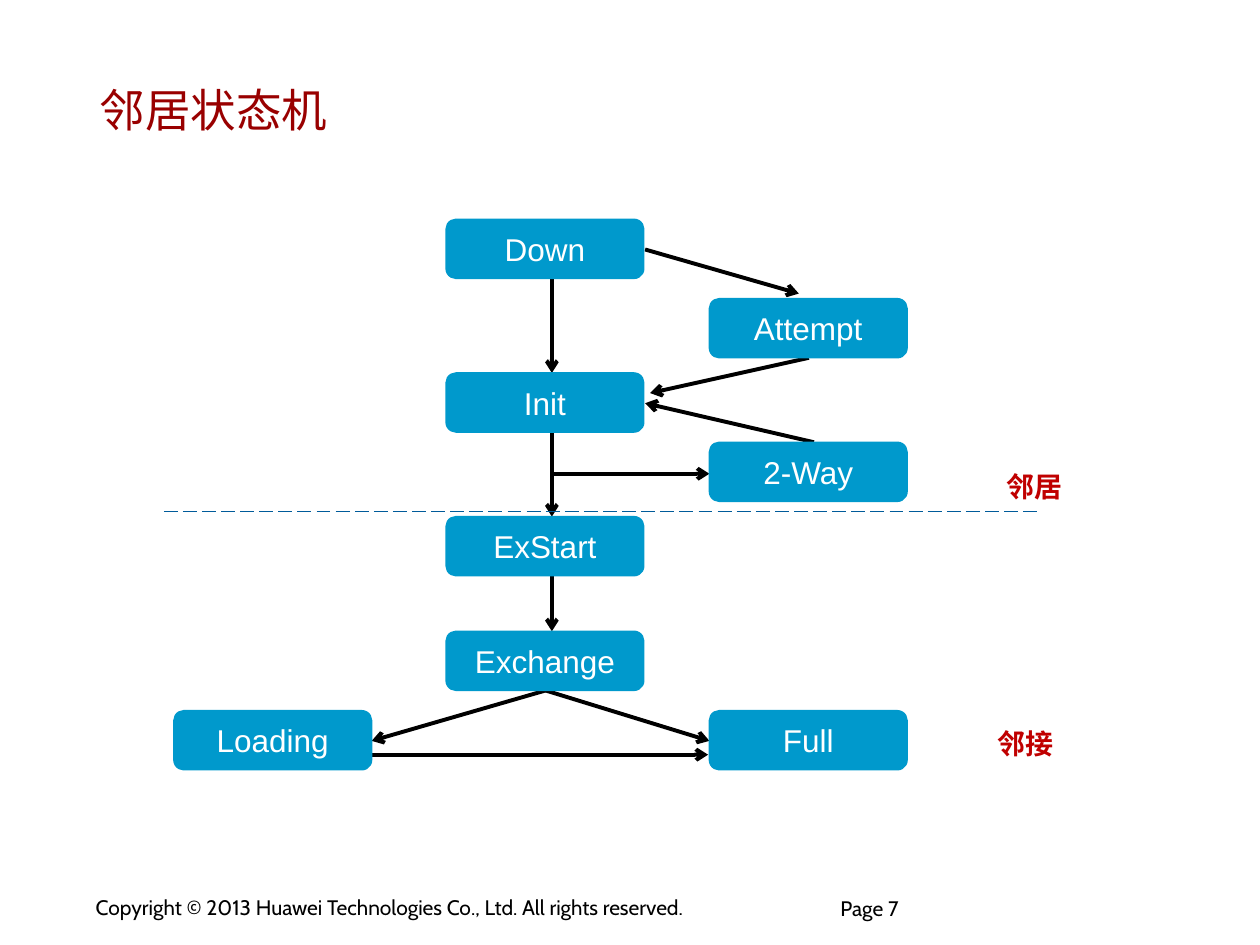
from lxml import etree
from pptx import Presentation
from pptx.dml.color import RGBColor
from pptx.enum import dml, shapes, text
from pptx.oxml.ns import qn
from pptx.util import Inches, Pt

TITLE_RED = RGBColor(0x99, 0x00, 0x00)
LABEL_RED = RGBColor(0xC0, 0x00, 0x00)
STATE_BLUE = RGBColor(0x00, 0x99, 0xCC)
DIVIDER_BLUE = RGBColor(0x00, 0x5B, 0x9A)
BLACK = RGBColor(0x00, 0x00, 0x00)
WHITE = RGBColor(0xFF, 0xFF, 0xFF)

STATE_W, STATE_H = 1.57, 0.47
LEFT, CENTER, RIGHT = 0.08, 2.24, 4.33  # state columns within the diagram
STATES = {
    "Down": (CENTER, 0),
    "Attempt": (RIGHT, 0.63),
    "Init": (CENTER, 1.22),
    "2-Way": (RIGHT, 1.77),
    "ExStart": (CENTER, 2.36),
    "Exchange": (CENTER, 3.27),
    "Loading": (LEFT, 3.9),
    "Full": (RIGHT, 3.9),
}
AXIS = 3.08  # vertical arrows down the centre column
TRANSITIONS = [
    (AXIS, 0.37, AXIS, 1.22),        # Down to Init
    (AXIS, 1.56, AXIS, 2.36),        # Init to ExStart
    (AXIS, 2.77, AXIS, 3.27),        # ExStart to Exchange
    (3.82, 0.24, 5.04, 0.59),        # Down to Attempt
    (5.12, 1.1, 3.86, 1.38),         # Attempt to Init
    (5.16, 1.77, 3.82, 1.46),        # 2-Way to Init
    (AXIS, 2.02, RIGHT, 2.02),       # Init to 2-Way
    (3.03, 3.74, 1.65, 4.14),        # Exchange to Loading
    (3.03, 3.74, RIGHT, 4.14),       # Exchange to Full
    (1.62, 4.25, 4.32, 4.25),        # Loading to Full
]


def write(sp, words, size, font, color, margins=(0.1, 0.05), wrap=True,
          anchor=text.MSO_ANCHOR.TOP, align=text.PP_ALIGN.LEFT, bold=False):
    tf = sp.text_frame
    tf.word_wrap = wrap
    tf.vertical_anchor = anchor
    tf.margin_left = tf.margin_right = Inches(margins[0])
    tf.margin_top = tf.margin_bottom = Inches(margins[1])
    p = tf.paragraphs[0]
    p.text = words
    p.alignment = align
    p.font.size = Pt(size)
    p.font.bold = bold
    p.font.color.rgb = color
    p.font.name = font
    # East Asian typeface
    etree.SubElement(p.font._element, qn("a:ea"), typeface=font)
    return p


def add_text(s, box, words, size, font, color, **options):
    sp = s.shapes.add_textbox(*map(Inches, box))
    return write(sp, words, size, font, color, **options)


def add_line(s, start, end, color, width):
    line = s.shapes.add_connector(shapes.MSO_CONNECTOR.STRAIGHT,
                                  *map(Inches, start + end))
    line.line.color.rgb = color
    line.line.width = Pt(width)
    etree.SubElement(line._element.spPr, qn("a:effectLst"))
    return line


def add_arrow(s, start, end):
    arrow = add_line(s, start, end, BLACK, 2.25)
    etree.SubElement(arrow.line._get_or_add_ln(), qn("a:tailEnd"), type="arrow")


def add_state(s, x, y, name):
    sp = s.shapes.add_shape(shapes.MSO_SHAPE.FLOWCHART_ALTERNATE_PROCESS,
                            *map(Inches, (x, y, STATE_W, STATE_H)))
    sp.shadow.inherit = False
    sp.fill.solid()
    sp.fill.fore_color.rgb = STATE_BLUE
    sp.line.color.rgb = STATE_BLUE
    sp.line.width = Pt(0.75)
    write(sp, name, 18, "Arial", WHITE, anchor=text.MSO_ANCHOR.MIDDLE,
          align=text.PP_ALIGN.CENTER)


def build_title(s, box):
    add_text(s, box, "邻居状态机", 26, "Arial", TITLE_RED,
             margins=(0.09, 0.04), anchor=text.MSO_ANCHOR.MIDDLE)


def build_diagram(s, left, top):
    # Transitions, behind the states
    for x1, y1, x2, y2 in TRANSITIONS:
        add_arrow(s, (left + x1, top + y1), (left + x2, top + y2))
    # States
    for name, (x, y) in STATES.items():
        add_state(s, left + x, top + y, name)
    # Divider between neighbour and adjacency stages
    divider = add_line(s, (left, top + 2.32), (left + 6.93, top + 2.32),
                       DIVIDER_BLUE, 1)
    divider.line.dash_style = dml.MSO_LINE.LONG_DASH
    # Stage labels
    for words, x, y in (("邻居", 6.59, 1.94), ("邻接", 6.52, 3.98)):
        add_text(s, (left + x, top + y, 0.64, 0.37), words, 16,
                 "Noto Sans CJK SC", LABEL_RED, wrap=False,
                 align=text.PP_ALIGN.CENTER, bold=True)


def build_footer(s, left, top):
    add_text(s, (left, top, 5.57, 0.29),
             "Copyright © 2013 Huawei Technologies Co., Ltd. All rights reserved.",
             12, "Cabin", BLACK, margins=(0.09, 0.04), wrap=False)
    p = add_text(s, (left + 6, top + 0.08, 1.66, 0.36), "Page 7",
                 12, "Cabin", BLACK, margins=(0, 0))
    p.line_spacing = 0.85


def main():
    prs = Presentation()
    prs.slide_width, prs.slide_height = Inches(10), Inches(7.5)
    s = prs.slides.add_slide(prs.slide_layouts[6])
    build_title(s, (0.7, 0.39, 8.45, 0.95))
    build_diagram(s, 1.3, 1.74)
    build_footer(s, 0.67, 7.06)
    prs.save("out.pptx")


if __name__ == "__main__":
    main()
